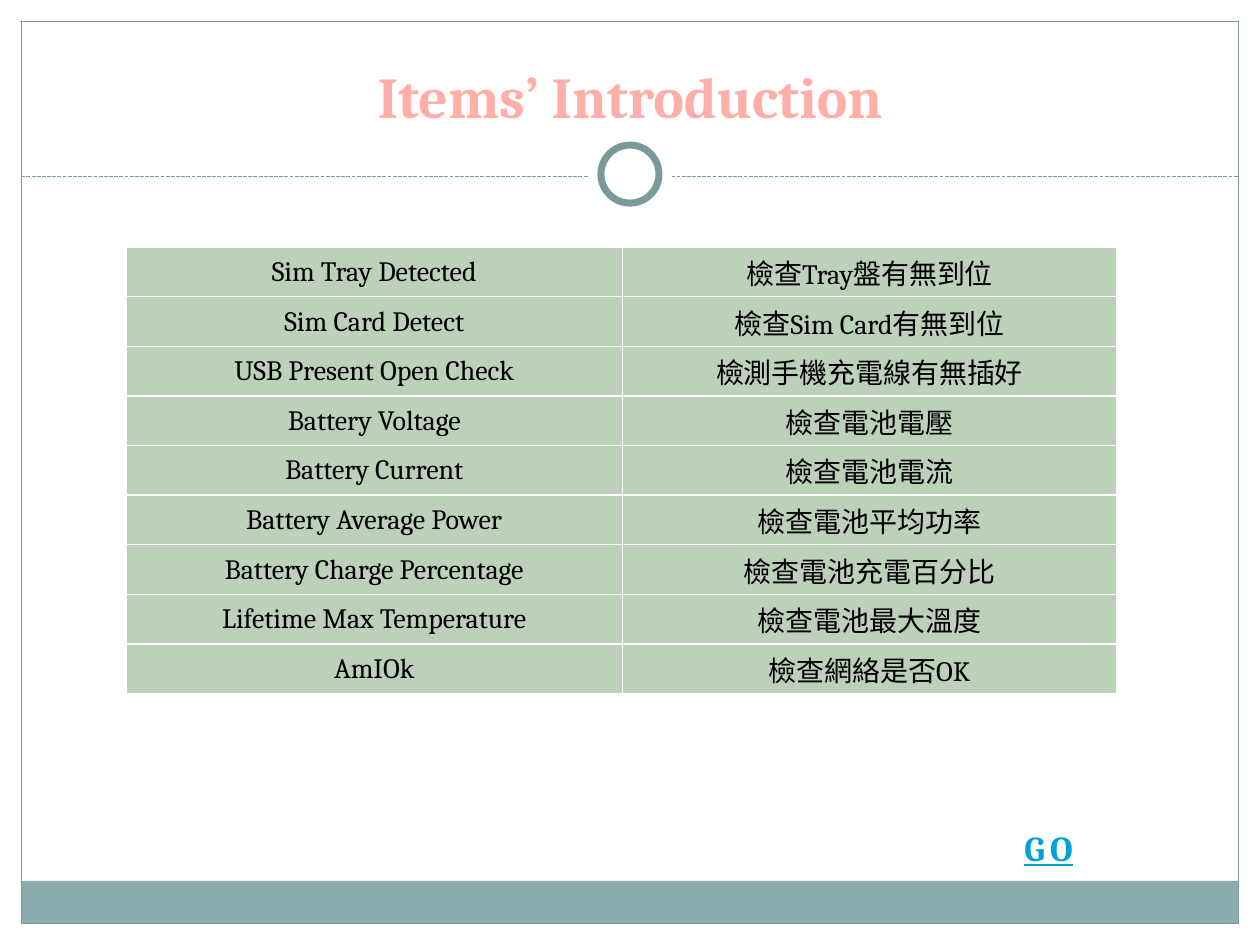
from lxml import etree
from pptx import Presentation
from pptx.dml.color import RGBColor
from pptx.enum.dml import MSO_LINE
from pptx.enum.shapes import MSO_CONNECTOR, MSO_SHAPE
from pptx.enum.text import MSO_ANCHOR, MSO_AUTO_SIZE, PP_ALIGN
from pptx.oxml.ns import qn
from pptx.util import Cm, Pt

RECT, OVAL = MSO_SHAPE.RECTANGLE, MSO_SHAPE.OVAL
CENTER, LEFT = PP_ALIGN.CENTER, PP_ALIGN.LEFT
MIDDLE, BOTTOM = MSO_ANCHOR.MIDDLE, MSO_ANCHOR.BOTTOM

TITLE = "Items’ Introduction"
ITEMS = [
    ("Sim Tray Detected", "檢查Tray盤有無到位"),
    ("Sim Card Detect", "檢查Sim Card有無到位"),
    ("USB Present Open Check", "檢測手機充電線有無插好"),
    ("Battery Voltage", "檢查電池電壓"),
    ("Battery Current", "檢查電池電流"),
    ("Battery Average Power", "檢查電池平均功率"),
    ("Battery Charge Percentage", "檢查電池充電百分比"),
    ("Lifetime Max Temperature", "檢查電池最大溫度"),
    ("AmIOk", "檢查網絡是否OK"),
]
GO_LABEL = "GO"

THEME = {
    "font": "Cambria",
    "white": "FFFFFF", "frame": "7C999A", "band": "8CADAE", "cell": "BCD0BA",
    "title": "FFAFA7", "text": "000000", "go": "00A3D6", "shadow": "CC5A3F",
    "title_size": 33, "cell_size": 16, "go_size": 20,
}

SLIDE_W, SLIDE_H = 25.4, 19.05
MARGIN = 0.43
BAND_H = 0.86
RULE_Y = 3.56
RING_Y = 3.51
TABLE_LEFT, TABLE_TOP = 2.54, 4.98
COLUMN_WIDTHS = (10.01, 9.96)
ROW_H = 1.0


def rgb(name):
    return RGBColor.from_string(THEME[name])


def write(tf, text, *, size, color, align=CENTER, anchor=MIDDLE, bold=False,
          underline=False, inset=0.25):
    tf.vertical_anchor = anchor
    tf.margin_left = tf.margin_right = Cm(inset)
    tf.margin_top = tf.margin_bottom = Cm(inset / 2)
    p = tf.paragraphs[0]
    p.alignment = align
    r = p.add_run()
    r.text = text
    font = r.font
    font.name, font.size = THEME["font"], Pt(THEME[size])
    font.bold, font.underline = bold, underline
    font.color.rgb = rgb(color)
    return r


def add_shape(slide, kind, left, top, width, height, fill=None, line=None, weight=0.75):
    sp = slide.shapes.add_shape(kind, Cm(left), Cm(top), Cm(width), Cm(height))
    sp.shadow.inherit = False
    if fill:
        sp.fill.solid()
        sp.fill.fore_color.rgb = rgb(fill)
    else:
        sp.fill.background()
    if line:
        sp.line.color.rgb = rgb(line)
        sp.line.width = Pt(weight)
    else:
        sp.line.fill.background()
    return sp


def add_circle(slide, diameter, **style):
    add_shape(slide, OVAL, (SLIDE_W - diameter) / 2, RING_Y - diameter / 2,
              diameter, diameter, **style)


def add_frame(slide):
    inner_w, bottom = SLIDE_W - 2 * MARGIN, SLIDE_H - MARGIN
    add_shape(slide, RECT, MARGIN, bottom - BAND_H, inner_w, BAND_H, fill="band")
    add_shape(slide, RECT, MARGIN, MARGIN, inner_w, bottom - MARGIN, line="frame")
    rule = slide.shapes.add_connector(MSO_CONNECTOR.STRAIGHT, Cm(MARGIN), Cm(RULE_Y),
                                      Cm(SLIDE_W - MARGIN), Cm(RULE_Y))
    rule.line.color.rgb = rgb("frame")
    rule.line.width = Pt(0.75)
    rule.line.dash_style = MSO_LINE.SQUARE_DOT
    etree.SubElement(rule._element.spPr, qn("a:effectLst"))
    add_circle(slide, 1.7, fill="white")
    add_circle(slide, 1.17, fill="white", line="frame", weight=4)


def set_borders(cell, color, weight):
    tc_pr = cell._tc.get_or_add_tcPr()
    for i, side in enumerate(("lnL", "lnR", "lnT", "lnB")):
        ln = etree.Element(qn(f"a:{side}"), w=str(Pt(weight)))
        fill = etree.SubElement(ln, qn("a:solidFill"))
        etree.SubElement(fill, qn("a:srgbClr"), val=THEME[color])
        tc_pr.insert(i, ln)


def add_items_table(slide):
    frame = slide.shapes.add_table(len(ITEMS), len(COLUMN_WIDTHS), Cm(TABLE_LEFT),
                                   Cm(TABLE_TOP), Cm(sum(COLUMN_WIDTHS)),
                                   Cm(ROW_H * len(ITEMS)))
    table = frame.table
    table.first_row = table.horz_banding = False
    for column, width in zip(table.columns, COLUMN_WIDTHS):
        column.width = Cm(width)
    for y, item in enumerate(ITEMS):
        table.rows[y].height = Cm(ROW_H)
        for x, text in enumerate(item):
            cell = table.cell(y, x)
            cell.fill.solid()
            cell.fill.fore_color.rgb = rgb("cell")
            set_borders(cell, "white", 1)
            write(cell.text_frame, text, size="cell_size", color="text")
            cell.vertical_anchor = MIDDLE
            cell.margin_left = cell.margin_right = cell.margin_top = Cm(0.02)
            cell.margin_bottom = 0


def add_go_label(slide):
    box = slide.shapes.add_textbox(Cm(20.4), Cm(16.54), Cm(1.78), Cm(1.12))
    tf = box.text_frame
    tf.word_wrap = False
    tf.auto_size = MSO_AUTO_SIZE.SHAPE_TO_FIT_TEXT
    r = write(tf, GO_LABEL, size="go_size", color="go", align=LEFT,
              anchor=MSO_ANCHOR.TOP, bold=True, underline=True)
    r_pr = r.font._element
    r_pr.set("spc", "300")
    effects = etree.Element(qn("a:effectLst"))
    shadow = etree.SubElement(effects, qn("a:outerShdw"), blurRad=str(Pt(1)),
                              dist=str(Pt(1.5)), dir="3600000")
    color = etree.SubElement(shadow, qn("a:srgbClr"), val=THEME["shadow"])
    etree.SubElement(color, qn("a:alpha"), val="60000")
    r_pr.find(qn("a:solidFill")).addnext(effects)


def main():
    prs = Presentation()
    prs.slide_width, prs.slide_height = Cm(SLIDE_W), Cm(SLIDE_H)
    slide = prs.slides.add_slide(prs.slide_layouts[5])
    add_frame(slide)
    title = slide.shapes.title
    title.left, title.top, title.width, title.height = Cm(0.85), Cm(0.64), Cm(23.7), Cm(2.11)
    write(title.text_frame, TITLE, size="title_size", color="title", anchor=BOTTOM, bold=True)
    add_items_table(slide)
    add_go_label(slide)
    prs.save("out.pptx")


if __name__ == "__main__":
    main()
